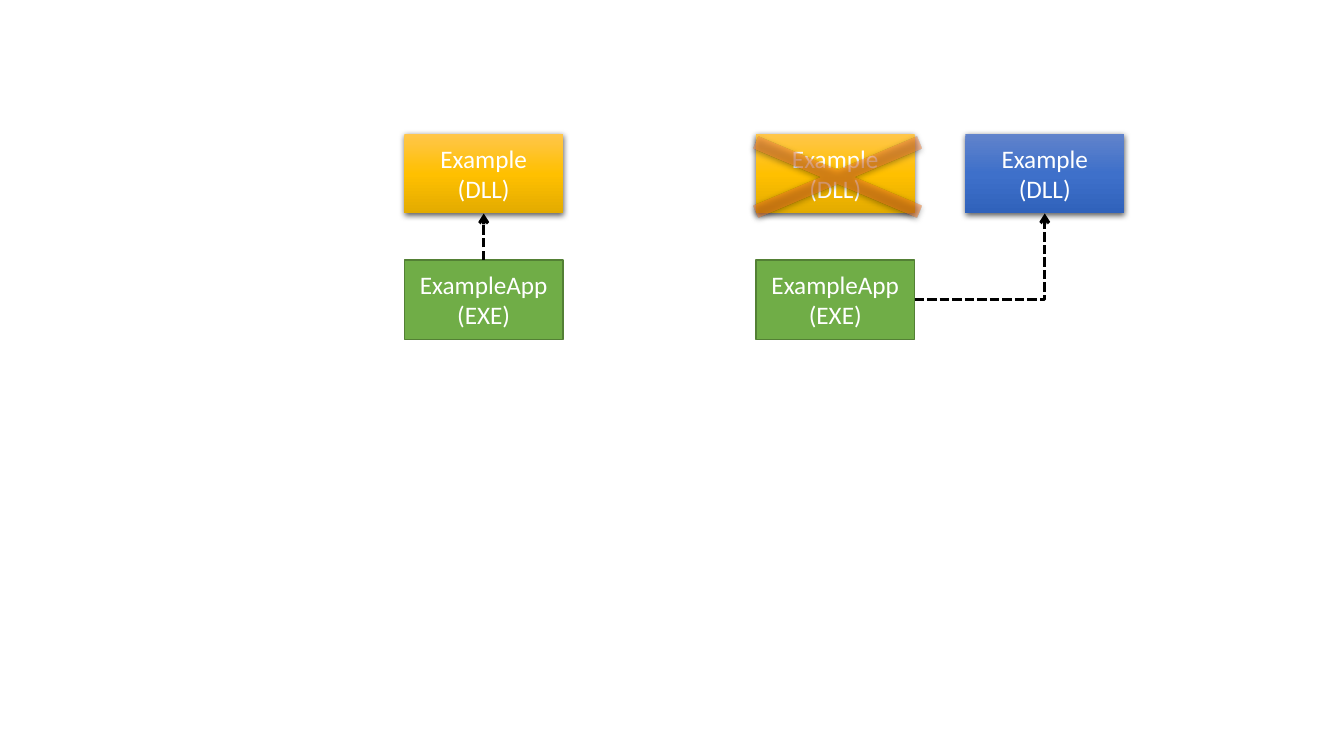
from lxml import etree
from pptx import Presentation
from pptx import util as u
from pptx.dml.color import RGBColor
from pptx.enum import dml, shapes, text
from pptx.oxml import parse_xml
from pptx.oxml.ns import nsdecls, qn

HUES = {
    "gold": ["FFC64B", "FFC000", "E3AB00"],
    "blue": ["6183CB", "3E70CA", "3062BB"],
    "rust": ["F18C57", "F67B28", "E56C19"],
    "green": "70AD47",
    "edge": "538035",
    "white": "FFFFFF",
    "black": "000000",
}
FONT = {"name": "Calibri", "size": u.Pt(18)}
WIDE, HIGH = 4, 2
LIB_TOP, APP_TOP = 3.38, 6.55


def glow(shape, hue, alpha=100):
    """Give a shape a three-stop gradient, no outline and a soft shadow."""
    shape.fill.gradient()
    shape.fill.gradient_angle = 270
    stops = shape._element.spPr.find(".//" + qn("a:gsLst"))
    for stop in list(stops):
        stops.remove(stop)
    for pos, rgb in zip((0, 50, 100), HUES[hue]):
        stops.append(parse_xml(
            f'<a:gs {nsdecls("a")} pos="{pos * 1000}"><a:srgbClr val="{rgb}">'
            f'<a:alpha val="{alpha * 1000}"/></a:srgbClr></a:gs>'))
    shape.line.fill.background()
    shape.shadow.inherit = False
    shape._element.spPr.find(qn("a:effectLst")).append(parse_xml(
        f'<a:outerShdw {nsdecls("a")} blurRad="{u.Pt(4.5)}" dist="{u.Pt(1.5)}" '
        'dir="5400000" algn="ctr" rotWithShape="0">'
        f'<a:srgbClr val="{HUES["black"]}"><a:alpha val="63000"/></a:srgbClr>'
        '</a:outerShdw>'))


deck = Presentation()
deck.slide_width, deck.slide_height = u.Cm(33.87), u.Cm(19.05)
slide = deck.slides.add_slide(deck.slide_layouts[6])

# Boxes: libraries above, apps below
boxes = {}
for key, words, left, top, hue in [
    ("lib", "Example\v(DLL)", 10.19, LIB_TOP, "gold"),
    ("app", "ExampleApp\v(EXE)", 10.19, APP_TOP, "green"),
    ("old lib", "Example\v(DLL)", 19.05, LIB_TOP, "gold"),
    ("new app", "ExampleApp\v(EXE)", 19.05, APP_TOP, "green"),
    ("new lib", "Example\v(DLL)", 24.33, LIB_TOP, "blue"),
]:
    box = slide.shapes.add_shape(
        shapes.MSO_SHAPE.RECTANGLE, u.Cm(left), u.Cm(top), u.Cm(WIDE), u.Cm(HIGH))
    if hue == "green":
        box.shadow.inherit = False
        box.fill.solid()
        box.fill.fore_color.rgb = RGBColor.from_string(HUES[hue])
        box.line.color.rgb = RGBColor.from_string(HUES["edge"])
        box.line.width = u.Pt(1)
    else:
        glow(box, hue)
    frame = box.text_frame
    frame.text = words
    frame.vertical_anchor = text.MSO_ANCHOR.MIDDLE
    para = frame.paragraphs[0]
    para.alignment = text.PP_ALIGN.CENTER
    for run in para.runs:
        for attr, value in FONT.items():
            setattr(run.font, attr, value)
        run.font.color.rgb = RGBColor.from_string(HUES["white"])
    boxes[key] = box

# Dashed arrows from each app to its library
for kind, app, site, lib in [
    (shapes.MSO_CONNECTOR.STRAIGHT, "app", 0, "lib"),
    (shapes.MSO_CONNECTOR.ELBOW, "new app", 3, "new lib"),
]:
    link = slide.shapes.add_connector(kind, 0, 0, 0, 0)
    link.begin_connect(boxes[app], site)
    link.end_connect(boxes[lib], 2)
    link.line.color.rgb = RGBColor.from_string(HUES["black"])
    link.line.width = u.Pt(2.25)
    link.line.dash_style = dml.MSO_LINE.SQUARE_DOT
    props = link._element.spPr
    if kind == shapes.MSO_CONNECTOR.ELBOW:
        props.find(qn("a:prstGeom")).set("prst", "bentConnector2")
    etree.SubElement(props.find(qn("a:ln")), qn("a:tailEnd"), type="arrow")
    etree.SubElement(props, qn("a:effectLst"))

# Cross over the replaced library
cross = slide.shapes.add_shape(
    shapes.MSO_SHAPE.MATH_MULTIPLY, u.Cm(17.15), u.Cm(2.79), u.Cm(7.9), u.Cm(3.33))
cross.adjustments[0] = 0.1
glow(cross, "rust", 50)

deck.save("out.pptx")
